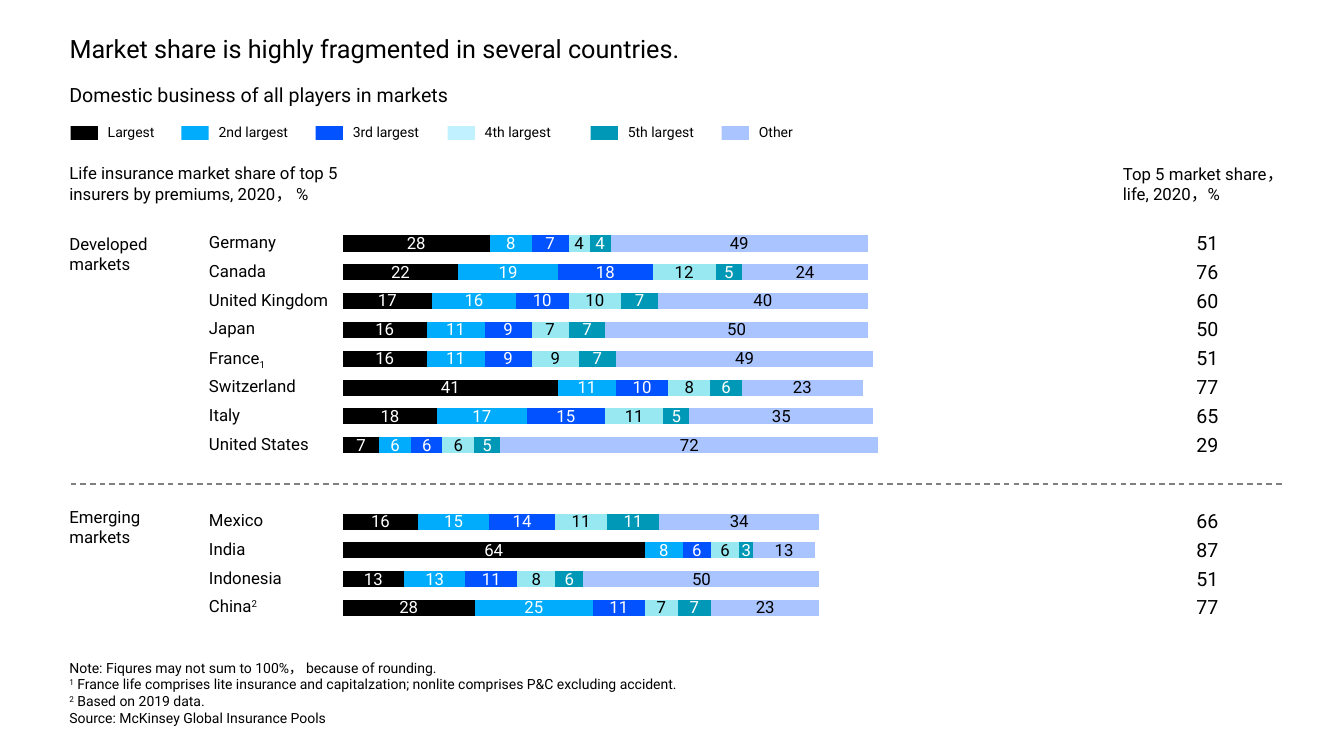
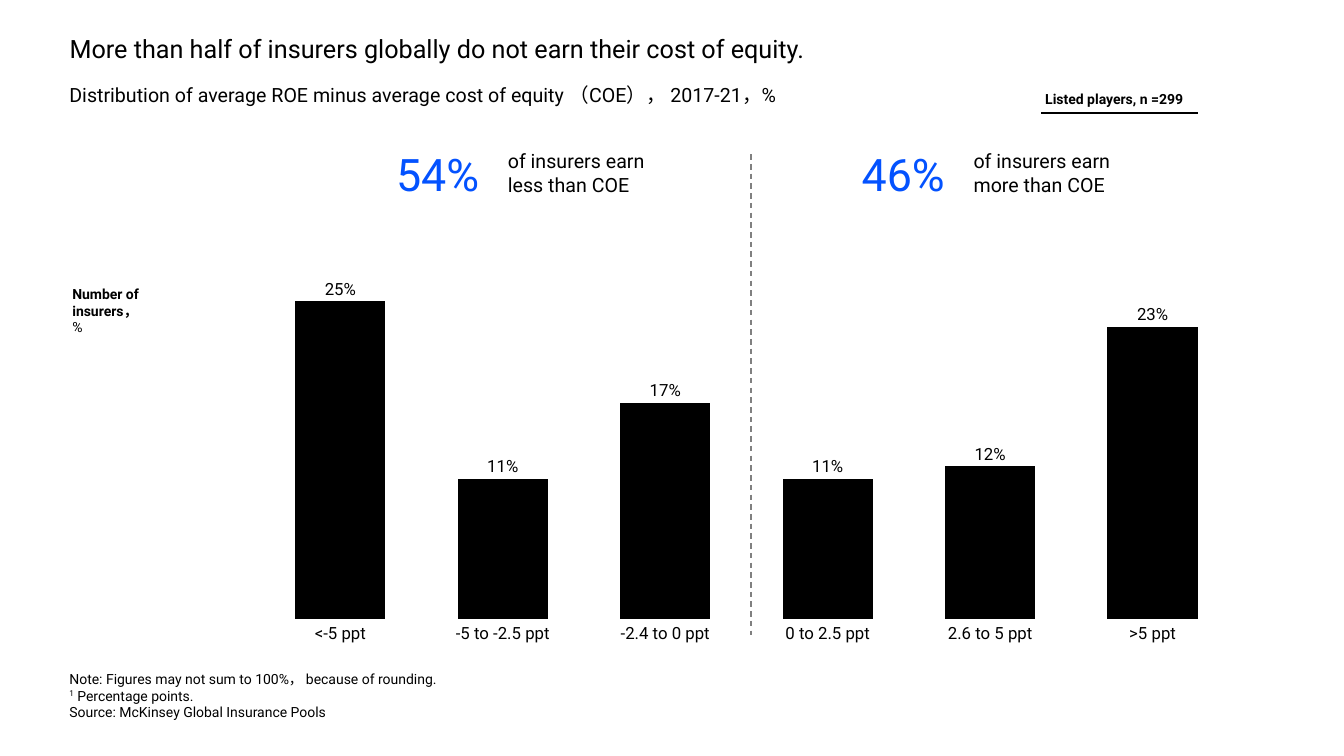
from pptx import Presentation
from pptx.chart.data import CategoryChartData
from pptx.dml.color import RGBColor
from pptx.enum.chart import XL_CHART_TYPE, XL_TICK_LABEL_POSITION, XL_TICK_MARK
from pptx.enum.dml import MSO_LINE
from pptx.enum.shapes import MSO_CONNECTOR, MSO_SHAPE
from pptx.enum.text import MSO_ANCHOR, MSO_AUTO_SIZE, PP_ALIGN
from pptx.oxml import parse_xml
from pptx.oxml.ns import nsdecls
from pptx.util import Pt

COLOURS = {
    "black": "000000", "white": "FFFFFF", "grey": "808080",
    "sky": "00ACFB", "blue": "0352FF", "aqua": "98E8F2", "pale aqua": "C1F1FF",
    "teal": "0098B7", "lavender": "AAC4FF",
}
FONT = "Roboto"
LEFT = 42.5
SUPERSCRIPT, SUBSCRIPT = 30000, -25000
SOURCE = "Source: McKinsey Global Insurance Pools"


def colour(name):
    return RGBColor.from_string(COLOURS[name])


class Deck:
    def __init__(self):
        self.presentation = Presentation()
        self.presentation.slide_width = Pt(960)
        self.presentation.slide_height = Pt(540)
        self.slide = None

    def add_slide(self, title, subtitle):
        layout = self.presentation.slide_layouts[5]
        self.slide = self.presentation.slides.add_slide(layout)
        shape = self.slide.shapes.title
        shape.left, shape.top, shape.width, shape.height = Pt(LEFT), Pt(20), Pt(860), Pt(29)
        self.fill_frame(shape.text_frame, [title], 18)
        self.text((LEFT, 56, 640, 24.5), [subtitle], 14)

    def fill_frame(self, frame, paragraphs, size, color="black", bold=False,
                   align=PP_ALIGN.LEFT, anchor=MSO_ANCHOR.TOP, inset=(7.2, 3.6), spacing=1.0):
        """Fill a frame; a paragraph is a string or a list of (text, baseline) runs."""
        frame.word_wrap = True
        frame.auto_size = MSO_AUTO_SIZE.NONE
        frame.vertical_anchor = anchor
        frame.margin_left = frame.margin_right = Pt(inset[0])
        frame.margin_top = frame.margin_bottom = Pt(inset[1])
        for index, content in enumerate(paragraphs):
            paragraph = frame.add_paragraph() if index else frame.paragraphs[0]
            paragraph.alignment = align
            paragraph.line_spacing = spacing
            font = paragraph.font
            font.name, font.size, font.bold = FONT, Pt(size), bold
            font.color.rgb = colour(color)
            runs = [(content, 0)] if isinstance(content, str) else content
            for words, baseline in runs:
                run = paragraph.add_run()
                run.text = words
                if baseline:
                    run.font.size = Pt(size)
                    run.font._element.set("baseline", str(baseline))

    def text(self, box, paragraphs, size, **style):
        shape = self.slide.shapes.add_textbox(*map(Pt, box))
        self.fill_frame(shape.text_frame, paragraphs, size, **style)
        return shape.text_frame

    def label(self, box, content, **style):
        self.text(box, [content], 12, inset=(0, 0), spacing=0.9, **style)

    def swatch(self, box, fill):
        shape = self.slide.shapes.add_shape(MSO_SHAPE.RECTANGLE, *map(Pt, box))
        shape.shadow.inherit = False
        shape.fill.solid()
        shape.fill.fore_color.rgb = colour(fill)
        shape.line.fill.background()

    def line(self, start, end, color="grey", dash=MSO_LINE.DASH):
        connector = self.slide.shapes.add_connector(
            MSO_CONNECTOR.STRAIGHT, *map(Pt, start + end))
        connector.line.color.rgb = colour(color)
        connector.line.width = Pt(1)
        connector.line.dash_style = dash
        connector._element.spPr.append(parse_xml(f"<a:effectLst {nsdecls('a')}/>"))

    def chart(self, kind, box, inset, series, maximum):
        """Draw stacked bars; series holds (values, fill, label colour or None)."""
        data = CategoryChartData()
        data.categories = [str(number + 1) for number in range(len(series[0][0]))]
        for number, (values, _, _) in enumerate(series, 1):
            data.add_series(f"Series {number}", values)
        chart = self.slide.shapes.add_chart(kind, *map(Pt, box), data).chart
        chart.has_legend = chart.has_title = False
        chart.font.name, chart.font.size = FONT, Pt(12)
        chart.font.color.rgb = colour("black")

        axis = chart.category_axis
        axis.reverse_order = kind == XL_CHART_TYPE.BAR_STACKED
        axis.tick_label_position = XL_TICK_LABEL_POSITION.NONE
        axis.major_tick_mark = axis.minor_tick_mark = XL_TICK_MARK.NONE
        axis.has_major_gridlines = False
        axis.format.line.color.rgb = colour("white")
        axis.format.line.width = Pt(0.75)
        scale = chart.value_axis
        scale.minimum_scale, scale.maximum_scale = 0, maximum
        scale.has_major_gridlines = False
        scale.visible = False

        plot = chart.plots[0]
        plot.gap_width, plot.overlap = 80, 100
        plot.vary_by_categories = False
        for drawn, (_, fill, label_color) in zip(plot.series, series):
            drawn.format.fill.solid()
            drawn.format.fill.fore_color.rgb = colour(fill)
            if label_color:
                labels = drawn.data_labels
                labels.show_value = True
                labels.font.name, labels.font.size = FONT, Pt(12)
                labels.font.color.rgb = colour(label_color)
        self.place_plot(chart, box, inset)

    @staticmethod
    def place_plot(chart, box, inset):
        x, y = inset[0] / box[2], inset[1] / box[3]
        places = {"x": x, "y": y, "w": 1 - 2 * x, "h": 1 - 2 * y}
        tags = '<c:layoutTarget val="inner"/><c:xMode val="edge"/><c:yMode val="edge"/>'
        tags += "".join(f'<c:{tag} val="{value:.4f}"/>' for tag, value in places.items())
        area = chart.element.xpath("c:chart/c:plotArea")[0]
        for layout in area.xpath("c:layout"):
            area.remove(layout)
        area.insert(0, parse_xml(
            f"<c:layout {nsdecls('c')}><c:manualLayout>{tags}</c:manualLayout></c:layout>"))


ROW = 20.6
RANKS = [("black", "white"), ("sky", "white"), ("blue", "white"),
         ("aqua", "black"), ("teal", "white"), ("lavender", "black")]
LEGEND = [("Largest", "black", 50.4), ("2nd largest", "sky", 129.6),
          ("3rd largest", "blue", 225.4), ("4th largest", "pale aqua", 319.7),
          ("5th largest", "teal", 421.9), ("Other", "lavender", 515.5)]
# Each row: country, shares by rank, top 5 market share
DEVELOPED = [
    ("Germany", (28, 8, 7, 4, 4, 49), 51),
    ("Canada", (22, 19, 18, 12, 5, 24), 76),
    ("United Kingdom", (17, 16, 10, 10, 7, 40), 60),
    ("Japan", (16, 11, 9, 7, 7, 50), 50),
    ([("France", 0), ("1", SUBSCRIPT)], (16, 11, 9, 9, 7, 49), 51),
    ("Switzerland", (41, 11, 10, 8, 6, 23), 77),
    ("Italy", (18, 17, 15, 11, 5, 35), 65),
    ("United States", (7, 6, 6, 6, 5, 72), 29),
]
EMERGING = [
    ("Mexico", (16, 15, 14, 11, 11, 34), 66),
    ("India", (64, 8, 6, 6, 3, 13), 87),
    ("Indonesia", (13, 13, 11, 8, 6, 50), 51),
    ([("China", 0), ("2", SUPERSCRIPT)], (28, 25, 11, 7, 7, 23), 77),
]


def add_market_group(deck, name, name_top, rows, top, maximum):
    """Add one group of countries whose first bar row starts at top."""
    deck.text((LEFT, name_top, 90, 36), [name, "markets"], 12)
    margin = 21
    ranked = zip(*(shares for _, shares, _ in rows))
    series = [(values, *style) for values, style in zip(ranked, RANKS)]
    deck.chart(XL_CHART_TYPE.BAR_STACKED,
               (238.3, top - margin, 545.8, len(rows) * ROW + 2 * margin),
               (6.5, margin), series, maximum)
    for index, (country, _, total) in enumerate(rows):
        middle = top + (index + 0.5) * ROW - 0.5
        deck.label((149.3, middle - 6.5, 94, 13), country, anchor=MSO_ANCHOR.MIDDLE)
        deck.text((847.4, middle - 12.2, 40, 24.5), [str(total)], 14)


def add_market_share_slide(deck):
    deck.add_slide("Market share is highly fragmented in several countries.",
                   "Domestic business of all players in markets")
    for name, fill, left in LEGEND:
        deck.swatch((left, 90, 19.5, 10), fill)
        deck.text((left + 19.5, 85, 80, 19.5), [name], 10)
    deck.text((LEFT, 113, 230, 36), ["Life insurance market share of top 5",
                                     "insurers by premiums, 2020， %"], 12)
    deck.text((795, 113.5, 150, 36), ["Top 5 market share，", "life, 2020，%"], 12)
    add_market_group(deck, "Developed", 163.4, DEVELOPED, 163.7, 142)
    deck.line((50.4, 345.6), (915.8, 345.6))
    add_market_group(deck, "Emerging", 358.6, EMERGING, 362.3, 158)
    deck.text((LEFT, 467.3, 869, 55.5), [
        "Note: Fiqures may not sum to 100%， because of rounding.",
        [("1", SUPERSCRIPT), (" France life comprises lite insurance and capitalzation; "
                              "nonlite comprises P&C excluding accident.", 0)],
        [("2", SUPERSCRIPT), (" Based on 2019 data.", 0)],
        SOURCE], 10)


def add_equity_slide(deck):
    deck.add_slide("More than half of insurers globally do not earn their cost of equity.",
                   "Distribution of average ROE minus average cost of equity "
                   "（COE）， 2017-21，%")
    deck.text((739.5, 61.2, 140, 19.5), ["Listed players, n =299"], 10, bold=True)
    deck.line((743.8, 80.6), (856, 80.6), "black", MSO_LINE.SOLID)

    for left, share, comparison in ((275.8, "54%", "less"), (608.4, "46%", "more")):
        deck.text((left, 101.5, 80, 46), [share], 32, color="blue")
        deck.text((left + 79.9, 103, 120, 41),
                  ["of insurers earn", f"{comparison} than COE"], 14)
    deck.line((536.4, 110.2), (536.4, 453.6))

    heading = deck.text((44.6, 200.2, 80, 44), ["Number of", "insurers，", "%"], 10, bold=True)
    heading.paragraphs[-1].font.bold = False

    bands = [("<-5 ppt", 25), ("-5 to -2.5 ppt", 11), ("-2.4 to 0 ppt", 17),
             ("0 to 2.5 ppt", 11), ("2.6 to 5 ppt", 12), (">5 ppt", 23)]
    tallest = max(share for _, share in bands)
    left, top, width, height = box = (178.6, 208.8, 709.2, 239.8)
    margin = 6.5
    heights = [share * 100 // tallest for _, share in bands]
    deck.chart(XL_CHART_TYPE.COLUMN_STACKED, box, (margin, margin),
               [(heights, "black", None)], 100)
    pitch = (width - 2 * margin) / len(bands)
    bottom = top + height - margin
    for index, (band, share) in enumerate(bands):
        column_left = left + margin + index * pitch
        bar_top = bottom - share / tallest * (height - 2 * margin)
        deck.label((column_left, bar_top - 15, pitch, 13), f"{share}%",
                   align=PP_ALIGN.CENTER, anchor=MSO_ANCHOR.BOTTOM)
        deck.label((column_left, 446.4, pitch, 13), band, align=PP_ALIGN.CENTER)

    deck.text((LEFT, 475.2, 869, 44), [
        "Note: Figures may not sum to 100%， because of rounding.",
        [("1", SUPERSCRIPT), (" Percentage points.", 0)],
        SOURCE], 10)


def main():
    deck = Deck()
    add_market_share_slide(deck)
    add_equity_slide(deck)
    deck.presentation.save("out.pptx")


if __name__ == "__main__":
    main()
